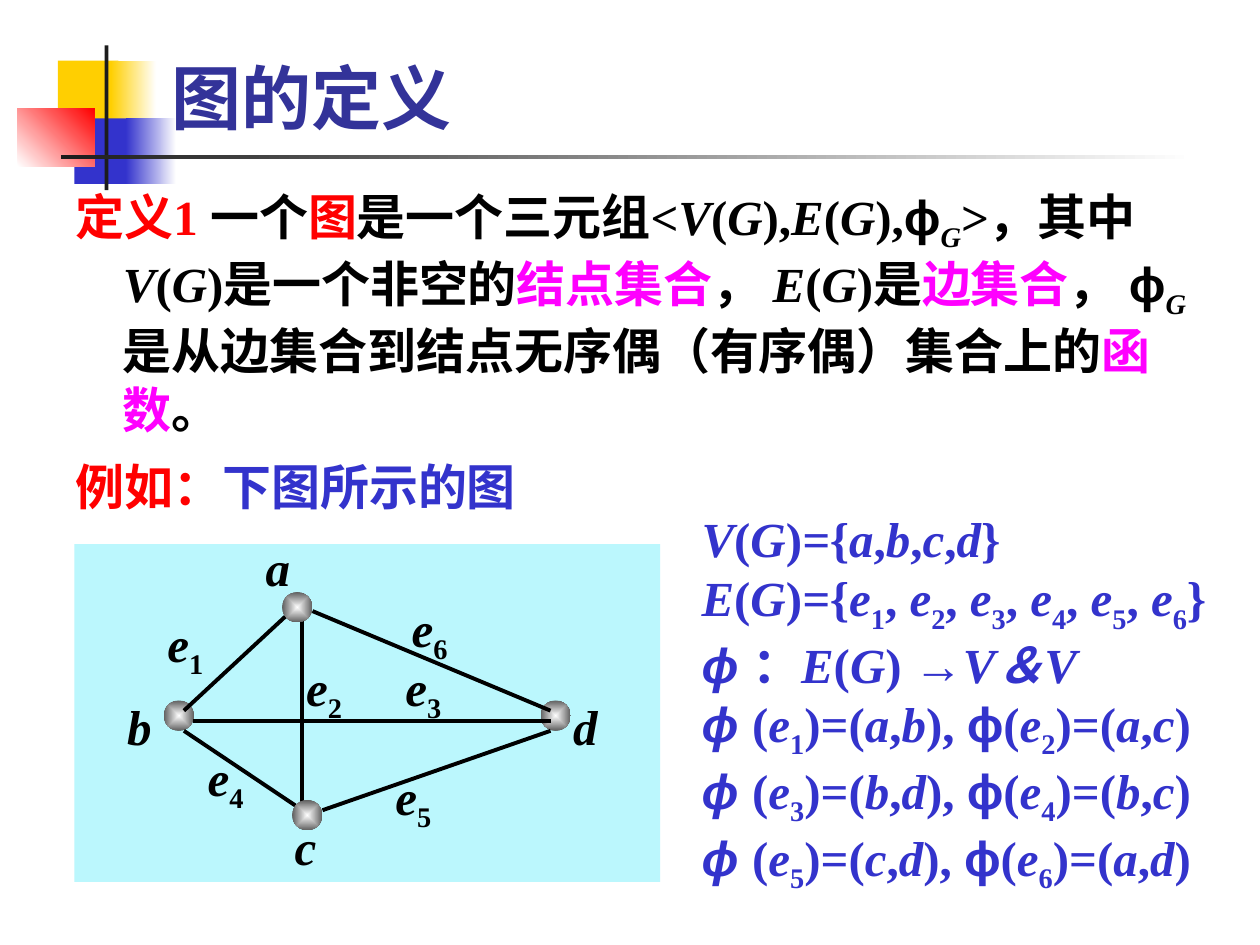
"""Build a slide that defines a graph and shows an example."""
from itertools import groupby

from lxml import etree
from pptx import Presentation
from pptx.dml.color import RGBColor
from pptx.enum import shapes, text
from pptx.oxml import ns
from pptx.util import Pt

THEME = {
    "red": "FF0000", "magenta": "FF00FF", "blue": "3333CC", "black": "000000",
    "title": "333399", "gold": "FFCF01", "ink": "1C1C1C", "white": "FFFFFF",
    "panel": "BBF7FD", "grey": "5F5F5F",
    "heading_font": "Roboto", "text_font": "Times New Roman", "phi_font": "Arial",
    "title_size": 40, "text_size": 28,
}

TITLE = "图的定义"
DEFINITION = [
    [("定义1 ", "red"), ("一个", "black"), ("图", "red"),
     ("是一个三元组<V(G),E(G),ϕG>，其中V(G)是一个非空的", "black"),
     ("结点集合", "magenta"), ("， E(G)是", "black"), ("边集合", "magenta"),
     ("， ϕG是从边集合到结点无序偶（有序偶）集合上的", "black"),
     ("函数", "magenta"), ("。", "black")],
    [("例如：", "red"), ("下图所示的图", "blue")],
]
FORMULAS = [
    "V(G)={a,b,c,d}",
    "E(G)={e1, e2, e3, e4, e5, e6}",
    "ϕ ：E(G) →V＆V",
    "ϕ (e1)=(a,b), ϕ(e2)=(a,c)",
    "ϕ (e3)=(b,d), ϕ(e4)=(b,c)",
    "ϕ (e5)=(c,d), ϕ(e6)=(a,d)",
]
DECORATION = [
    ((33.1, 34.6, 34.6, 37.4), ("gold",), 0),
    ((63.4, 34.6, 25.9, 37.4), ("gold", "white"), 0),
    ((42.5, 67.7, 33.1, 37.4), ("blue",), 0),
    ((72, 67.7, 28.8, 37.4), ("blue", "white"), 0),
    ((10.1, 61.9, 43.9, 33.1), ("white", "red"), 45),
    ((59.8, 25.9, 2.2, 82.8), ("ink",), 0),
    ((34.6, 88.6, 648, 2.2), ("ink", "white"), 0),
]
PANEL = (42.5, 311, 334.8, 193)
NODE = 17.3
BACK_NODES = [(93.6, 400.3), (308.9, 400.3)]
FRONT_NODES = [(161.3, 338.4), (167, 457.2)]
EDGES = [
    (105.1, 406.1, 164.9, 350.6), (105.1, 417.6, 172.8, 463),
    (178.6, 349.2, 314.6, 406.1), (184.3, 463, 314.6, 417.6),
    (172.8, 355, 172.8, 463), (110.2, 411.8, 314.6, 411.8),
]
EDGE_LABELS = {"e1": (88.6, 347), "e2": (167.8, 372.2), "e3": (224.6, 372.2),
               "e4": (111.6, 423.4), "e5": (218.9, 434.2), "e6": (228.2, 338.4)}
NODE_LABELS = {"a": (144.7, 303.8), "b": (65.5, 394.6),
               "c": (161.3, 463), "d": (320.4, 394.6)}
EDGE_LABEL_SIZE = (37, 45.4)
NODE_LABEL_SIZE = (29, 41)


def rgb(name):
    return RGBColor.from_string(THEME[name])


def pts(values):
    return [Pt(v) for v in values]


def add_run(p, content, colour, font="text_font", size="text_size"):
    r = p.add_run()
    r.text = content
    f = r.font
    f.name, f.size, f.bold = THEME[font], Pt(THEME[size]), True
    f.color.rgb = rgb(colour)
    return r


def math_style(line, i):
    """Return (italic, subscript, phi) for one character."""
    ch, pair = line[i], line[i - 1:i + 1]
    if pair == "ϕ ":
        return math_style(line, i - 1)
    sub = pair == "ϕG" or (pair[:1] == "e" and ch.isdigit())
    slanted = line[i:i + 2] in ("ϕ ", "={") or ch == "＆"
    return slanted or (ch.isascii() and ch.isalpha()), sub, ch == "ϕ"


def add_math(p, line, colour):
    for style, group in groupby(range(len(line)), lambda i: math_style(line, i)):
        italic, sub, phi = style
        content = "".join(line[i] for i in group)
        r = add_run(p, content, colour, "phi_font" if phi else "text_font")
        r.font.italic = italic
        if sub:
            r._r.get_or_add_rPr().set("baseline", "-25000")


def add_filled(parent, kind, box, colours, angle=0):
    sp = parent.add_shape(kind, *pts(box))
    sp.shadow.inherit = False
    sp.line.fill.background()
    if len(colours) == 1:
        sp.fill.solid()
        sp.fill.fore_color.rgb = rgb(colours[0])
    else:
        sp.fill.gradient()
        sp.fill.gradient_angle = angle
        for stop, colour, place in zip(sp.fill.gradient_stops, colours, (0, 1)):
            stop.color.rgb = rgb(colour)
            stop.position = place
    return sp


def add_node(parent, left, top):
    sp = add_filled(parent, shapes.MSO_SHAPE.OVAL, (left, top, NODE, NODE), ("white", "grey"))
    lin = sp.element.find(".//" + ns.qn("a:lin"))
    radial = etree.Element(ns.qn("a:path"), path="rect")
    etree.SubElement(radial, ns.qn("a:fillToRect"), dict.fromkeys("ltrb", "50000"))
    lin.getparent().replace(lin, radial)


def add_edge(parent, ends):
    c = parent.add_connector(shapes.MSO_CONNECTOR.STRAIGHT, *pts(ends))
    c.line.color.rgb = rgb("black")
    c.line.width = Pt(2.25)
    etree.SubElement(c.element.spPr, ns.qn("a:effectLst"))


def add_lines(parent, box, lines, colour, wrap):
    tf = parent.add_textbox(*pts(box)).text_frame
    tf.word_wrap = wrap
    tf.auto_size = text.MSO_AUTO_SIZE.SHAPE_TO_FIT_TEXT
    for i, line in enumerate(lines):
        add_math(tf.add_paragraph() if i else tf.paragraphs[0], line, colour)


def place(sp, box, anchor):
    sp.left, sp.top, sp.width, sp.height = pts(box)
    tf = sp.text_frame
    tf.word_wrap, tf.vertical_anchor = True, anchor
    tf.auto_size = text.MSO_AUTO_SIZE.NONE
    sp.element.getparent().append(sp.element)
    return tf


def fill_title(sp):
    tf = place(sp, (90.7, 5.8, 613.4, 77), text.MSO_ANCHOR.BOTTOM)
    p = tf.paragraphs[0]
    p.alignment = text.PP_ALIGN.LEFT
    add_run(p, TITLE, "title", "heading_font", "title_size")


def fill_body(sp):
    tf = place(sp, (36, 103, 653.8, 200.9), text.MSO_ANCHOR.TOP)
    for i, segments in enumerate(DEFINITION):
        p = tf.add_paragraph() if i else tf.paragraphs[0]
        pPr = p._p.get_or_add_pPr()
        pPr.set("marL", str(Pt(27)))
        pPr.set("indent", str(-Pt(27)))
        etree.SubElement(pPr, ns.qn("a:buNone"))
        p.space_before = Pt(10.5 if i else 0)
        for content, colour in segments:
            add_math(p, content, colour)


def draw_graph(s):
    g = s.shapes.add_group_shape().shapes
    add_filled(g, shapes.MSO_SHAPE.RECTANGLE, PANEL, ("panel",))
    for node in BACK_NODES:
        add_node(g, *node)
    for ends in EDGES:
        add_edge(g, ends)
    for node in FRONT_NODES:
        add_node(g, *node)
    for labels, size in ((EDGE_LABELS, EDGE_LABEL_SIZE), (NODE_LABELS, NODE_LABEL_SIZE)):
        for label, corner in labels.items():
            add_lines(g, corner + size, [label], "black", False)


def main():
    prs = Presentation()
    prs.slide_width, prs.slide_height = Pt(720), Pt(540)
    s = prs.slides.add_slide(prs.slide_layouts[1])
    for box, colours, angle in DECORATION:
        add_filled(s.shapes, shapes.MSO_SHAPE.RECTANGLE, box, colours, angle)
    fill_title(s.shapes.title)
    fill_body(s.placeholders[1])
    draw_graph(s)
    add_lines(s.shapes, (393.8, 287.3, 317.5, 227.5), FORMULAS, "blue", True)
    prs.save("out.pptx")


if __name__ == "__main__":
    main()
